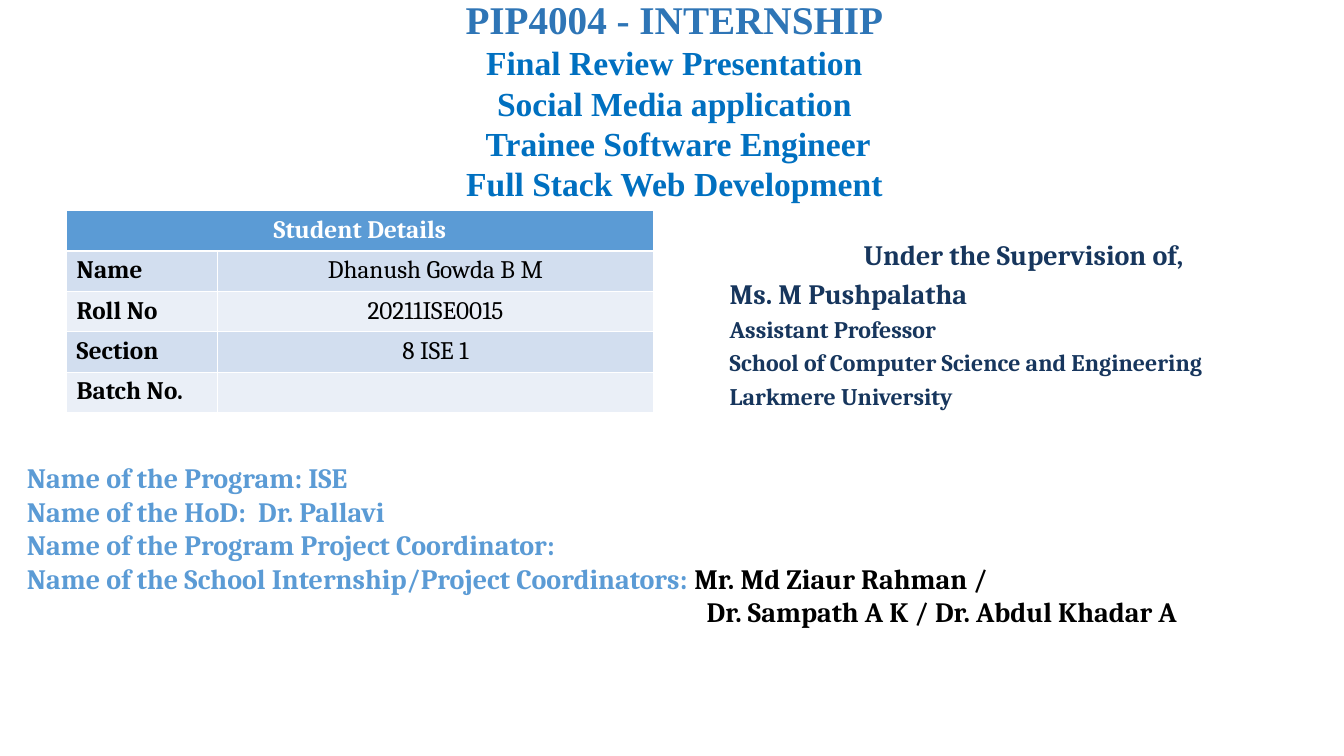
from pptx import Presentation
from pptx import util as u
from pptx.dml.color import RGBColor
from pptx.enum import text

COLORS = {
    "heading": "2E75B6",
    "subtitle": "0070C0",
    "supervisor": "17365D",
    "accent": "5B9BD5",
    "band_dark": "D2DEEF",
    "band_light": "EAEFF7",
    "black": "000000",
    "white": "FFFFFF",
}
CENTER = text.PP_ALIGN.CENTER
LEFT = text.PP_ALIGN.LEFT


def add_run(paragraph, wording, size, color, font="Cambria", bold=True):
    run = paragraph.add_run()
    run.text = wording
    run.font.name = font
    run.font.size = u.Pt(size)
    run.font.bold = bold
    run.font.color.rgb = RGBColor.from_string(COLORS[color])


def add_text_frame(slide, left, top, width, height):
    frame = slide.shapes.add_textbox(u.Cm(left), u.Cm(top), u.Cm(width), u.Cm(height)).text_frame
    frame.word_wrap = True
    return frame


presentation = Presentation()
presentation.slide_width = u.Cm(33.87)
presentation.slide_height = u.Cm(19.05)
slide = presentation.slides.add_slide(presentation.slide_layouts[6])

title_lines = [
    ("PIP4004 - INTERNSHIP", 28, "heading"),
    ("Final Review Presentation", 24, "subtitle"),
    ("Social Media application", 24, "subtitle"),
    (" Trainee Software Engineer", 24, "subtitle"),
    ("Full Stack Web Development", 24, "subtitle"),
]
title = add_text_frame(slide, 2.39, 0.05, 29.21, 5.1)
title.margin_top = title.margin_bottom = 0
for index, (wording, size, color) in enumerate(title_lines):
    paragraph = title.add_paragraph() if index else title.paragraphs[0]
    paragraph.alignment = CENTER
    paragraph.line_spacing = u.Pt(28.8)
    add_run(paragraph, wording, size, color, "Times New Roman")

supervisor_lines = [
    ("Under the Supervision of,", 20),
    ("Ms. M Pushpalatha", 20),
    ("Assistant Professor", 17),
    ("School of Computer Science and Engineering", 17),
    ("Larkmere University", 17),
]
supervisor = add_text_frame(slide, 18.14, 5.87, 15.32, 5.61)
for index, (wording, size) in enumerate(supervisor_lines):
    paragraph = supervisor.add_paragraph() if index else supervisor.paragraphs[0]
    paragraph.alignment = LEFT if index else CENTER
    paragraph.space_before = u.Pt(3.4 if index else 0)
    add_run(paragraph, wording, size, "supervisor")

student_rows = [
    ("Name", "Dhanush Gowda B M"),
    ("Roll No", "20211ISE0015"),
    ("Section", "8 ISE 1"),
    ("Batch No.", ""),
]
row_count = len(student_rows) + 1
table = slide.shapes.add_table(
    row_count, 2, u.Cm(1.68), u.Cm(5.31), u.Cm(14.78), u.Cm(1.01 * row_count)
).table
table.columns[0].width = u.Cm(3.81)
table.columns[1].width = u.Cm(10.97)
header = table.cell(0, 0)
header.merge(table.cell(0, 1))
header.fill.solid()
header.fill.fore_color.rgb = RGBColor.from_string(COLORS["accent"])
header.text_frame.paragraphs[0].alignment = CENTER
add_run(header.text_frame.paragraphs[0], "Student Details", 18, "white")
for row, entries in enumerate(student_rows, start=1):
    band = "band_dark" if row % 2 else "band_light"
    for column, wording in enumerate(entries):
        cell = table.cell(row, column)
        cell.fill.solid()
        cell.fill.fore_color.rgb = RGBColor.from_string(COLORS[band])
        paragraph = cell.text_frame.paragraphs[0]
        paragraph.alignment = CENTER if column else LEFT
        if wording:
            add_run(paragraph, wording, 18, "black", bold=column == 0)

program_lines = [
    [("Name of the Program: ISE", "accent")],
    [("Name of the HoD:  Dr. Pallavi", "accent")],
    [("Name of the Program Project Coordinator:", "accent")],
    [
        ("Name of the School Internship/Project Coordinators: ", "accent"),
        ("Mr. Md Ziaur Rahman /", "black"),
    ],
    [("Dr. Sampath A K / Dr. Abdul Khadar A", "black")],
]
program = add_text_frame(slide, 0.43, 11.48, 33.2, 4.34)
for index, runs in enumerate(program_lines):
    paragraph = program.add_paragraph() if index else program.paragraphs[0]
    for wording, color in runs:
        add_run(paragraph, wording, 20, color)
properties = program.paragraphs[-1]._p.get_or_add_pPr()
properties.set("marL", str(u.Cm(17.13)))
properties.set("indent", "0")

presentation.save("out.pptx")
